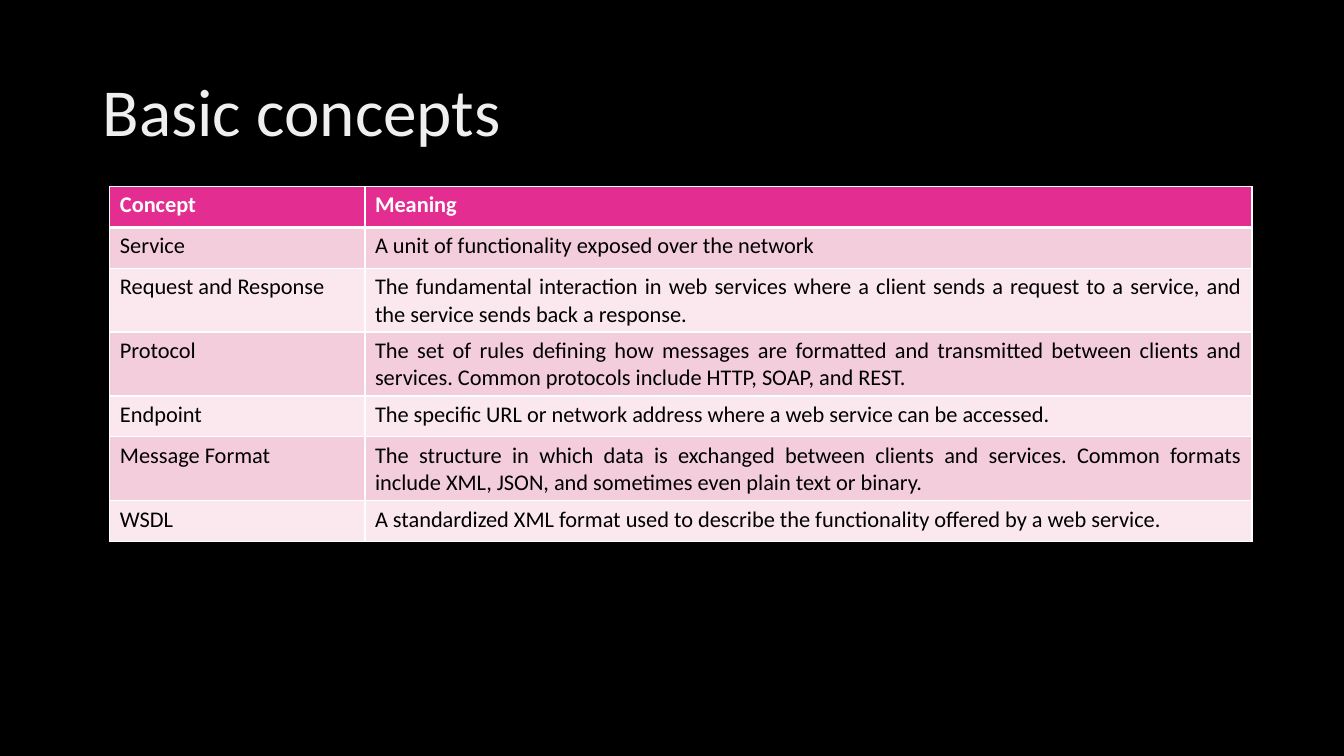
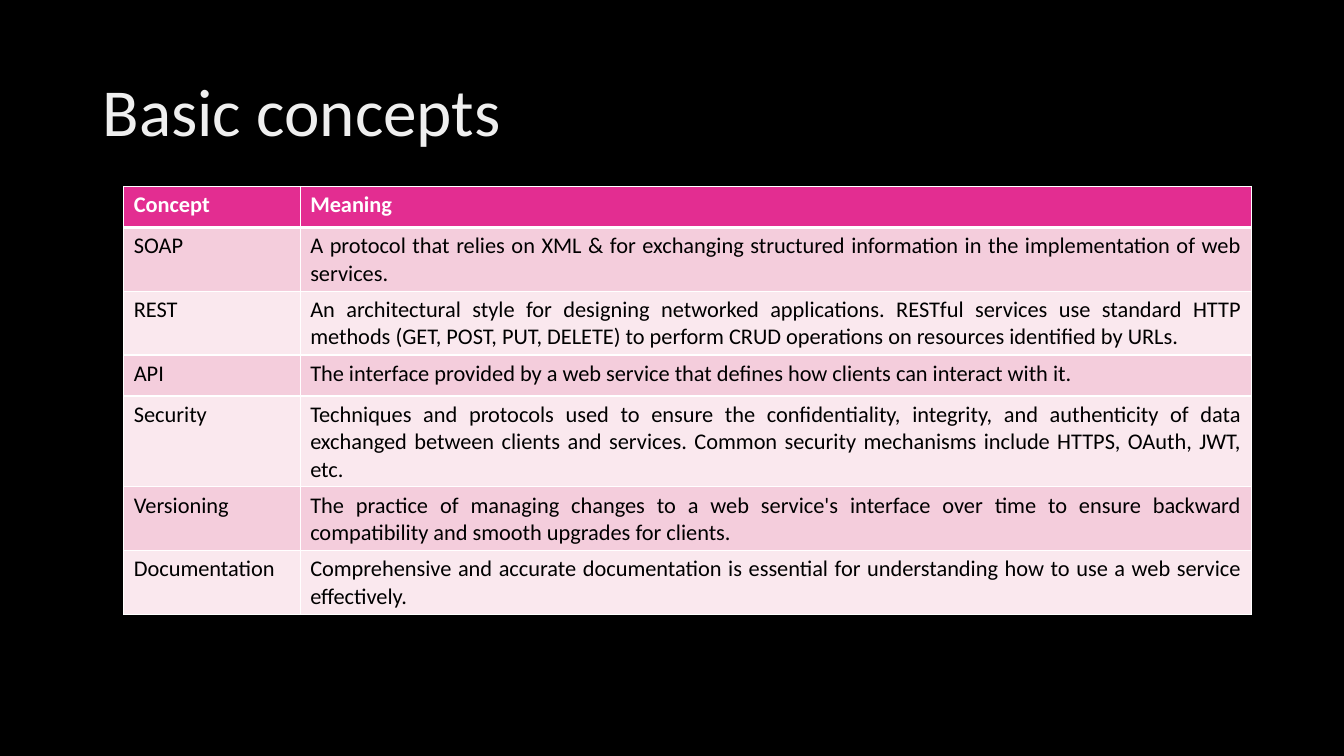
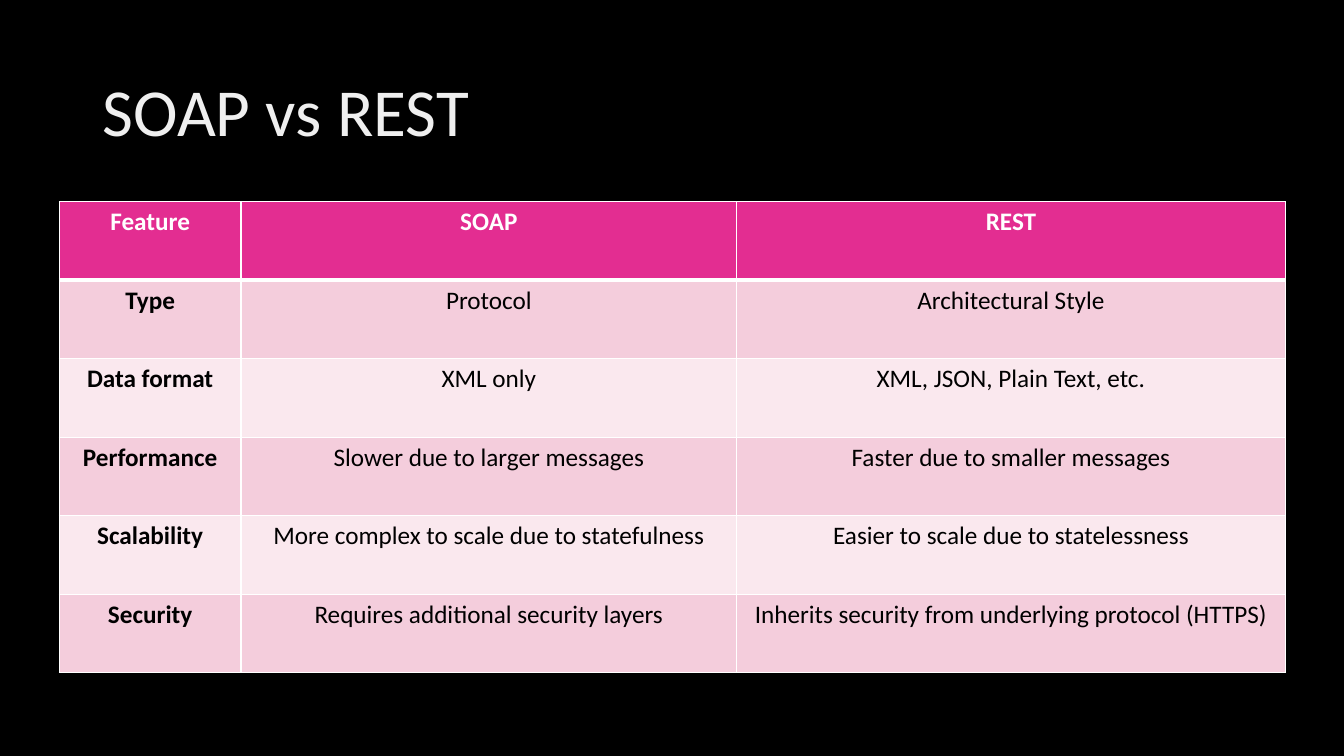
import pptx
import pptx.dml.color
import pptx.enum.text
import pptx.oxml.ns
import pptx.util
import lxml.etree

Pt = pptx.util.Pt
ALIGN = pptx.enum.text.PP_ALIGN
qn = pptx.oxml.ns.qn

WHITE, BLACK = "FFFFFF", "000000"
HEADER_FILL, BAND_FILLS = "E32D91", ("F4CDDC", "FAE8EE")
TITLE_COLOR = "EFEFEF"
TITLE_BOX = (66.2, 28.8, 852, 106.8)
TITLE_FONT = {"name": "Calibri", "size": Pt(48), "bold": False}


def paint(fill, color):
    fill.solid()
    fill.fore_color.rgb = pptx.dml.color.RGBColor.from_string(color)


def draw_borders(cell, widths):
    """Give the cell white edges; widths maps L, R, T and B to points."""
    properties = cell._tc.get_or_add_tcPr()
    for side, width in widths.items():
        edge = lxml.etree.SubElement(properties, qn(f"a:ln{side}"), w=str(Pt(width)))
        solid = lxml.etree.SubElement(edge, qn("a:solidFill"))
        lxml.etree.SubElement(solid, qn("a:srgbClr"), val=WHITE)


pages = [
    {
        "title": "Basic concepts",
        "corner": (78.5, 133.2), "columns": (182.2, 633.6), "row_height": 29.2,
        "size": 16, "align": ALIGN.JUSTIFY, "bold_features": False,
        "rows": [
            ("Concept", "Meaning"),
            ("Service", "A unit of functionality exposed over the network"),
            ("Request and Response",
             "The fundamental interaction in web services where a client sends a request "
             "to a service, and the service sends back a response."),
            ("Protocol",
             "The set of rules defining how messages are formatted and transmitted between "
             "clients and services. Common protocols include HTTP, SOAP, and REST."),
            ("Endpoint",
             "The specific URL or network address where a web service can be accessed."),
            ("Message Format",
             "The structure in which data is exchanged between clients and services. Common "
             "formats include XML, JSON, and sometimes even plain text or binary."),
            ("WSDL",
             "A standardized XML format used to describe the functionality offered by a "
             "web service."),
        ],
    },
    {
        "title": "Basic concepts",
        "corner": (88.4, 133.2), "columns": (126, 679.7), "row_height": 29.2,
        "size": 16, "align": ALIGN.JUSTIFY, "bold_features": False,
        "rows": [
            ("Concept", "Meaning"),
            ("SOAP",
             "A protocol that relies on XML & for exchanging structured information in the "
             "implementation of web services."),
            ("REST",
             "An architectural style for designing networked applications. RESTful services "
             "use standard HTTP methods (GET, POST, PUT, DELETE) to perform CRUD operations "
             "on resources identified by URLs."),
            ("API",
             "The interface provided by a web service that defines how clients can interact "
             "with it."),
            ("Security",
             "Techniques and protocols used to ensure the confidentiality, integrity, and "
             "authenticity of data exchanged between clients and services. Common security "
             "mechanisms include HTTPS, OAuth, JWT, etc."),
            ("Versioning",
             "The practice of managing changes to a web service's interface over time to "
             "ensure backward compatibility and smooth upgrades for clients."),
            ("Documentation",
             "Comprehensive and accurate documentation is essential for understanding how "
             "to use a web service effectively."),
        ],
    },
    {
        "title": "SOAP vs REST",
        "corner": (42.5, 144), "columns": (129.6, 354.2, 391.7), "row_height": 56.1,
        "size": 18, "align": ALIGN.CENTER, "bold_features": True,
        "rows": [
            ("Feature", "SOAP", "REST"),
            ("Type", "Protocol", "Architectural Style"),
            ("Data format", "XML only", "XML, JSON, Plain Text, etc."),
            ("Performance", "Slower due to larger messages", "Faster due to smaller messages"),
            ("Scalability", "More complex to scale due to statefulness",
             "Easier to scale due to statelessness"),
            ("Security", "Requires additional security layers",
             "Inherits security from underlying protocol (HTTPS)"),
        ],
    },
]

deck = pptx.Presentation()
deck.slide_width, deck.slide_height = Pt(960), Pt(540)
paint(deck.slide_master.background.fill, BLACK)
blank = deck.slide_layouts[6]

for page in pages:
    slide = deck.slides.add_slide(blank)

    title = slide.shapes.add_textbox(*map(Pt, TITLE_BOX)).text_frame
    title.word_wrap = True
    title.vertical_anchor = pptx.enum.text.MSO_ANCHOR.MIDDLE
    heading = title.paragraphs[0]
    heading.line_spacing = 0.9
    heading_run = heading.add_run()
    heading_run.text = page["title"]
    for attribute, value in TITLE_FONT.items():
        setattr(heading_run.font, attribute, value)
    paint(heading_run.font.fill, TITLE_COLOR)

    rows, columns = page["rows"], page["columns"]
    left, top = page["corner"]
    concepts = slide.shapes.add_table(
        len(rows), len(columns), Pt(left), Pt(top),
        Pt(sum(columns)), Pt(page["row_height"] * len(rows))).table
    for column, width in zip(concepts.columns, columns):
        column.width = Pt(width)

    for row_index, row in enumerate(rows):
        concepts.rows[row_index].height = Pt(page["row_height"])
        is_header = row_index == 0
        fill = HEADER_FILL if is_header else BAND_FILLS[(row_index - 1) % 2]
        edges = {"L": 1, "R": 1, "T": 3 if row_index == 1 else 1, "B": 3 if is_header else 1}
        for column_index, wording in enumerate(row):
            cell = concepts.cell(row_index, column_index)
            draw_borders(cell, edges)
            paint(cell.fill, fill)
            paragraph = cell.text_frame.paragraphs[0]
            paragraph.alignment = page["align"]
            run = paragraph.add_run()
            run.text = wording
            cell_font = {
                "name": "Calibri",
                "size": Pt(page["size"]),
                "bold": is_header or (page["bold_features"] and column_index == 0),
            }
            for attribute, value in cell_font.items():
                setattr(run.font, attribute, value)
            paint(run.font.fill, WHITE if is_header else BLACK)

deck.save("out.pptx")
